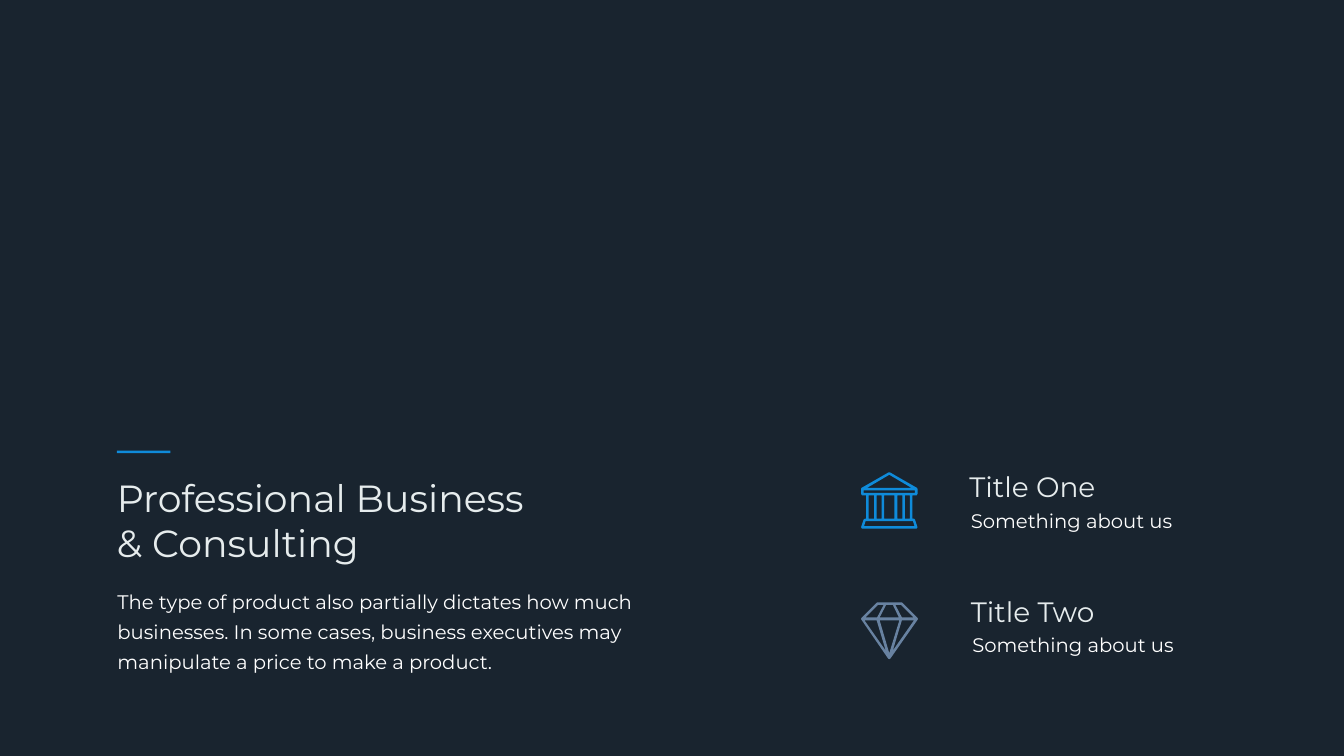
from pptx import Presentation
from pptx.dml.color import RGBColor
from pptx.enum.shapes import MSO_SHAPE
from pptx.enum.text import MSO_AUTO_SIZE
from pptx.util import Pt

PX = 9144  # EMU per px, 100 px to the inch
BLUE, SLATE, PALE, WHITE = "0F8BDA", "6882A1", "E6ECED", "FFFFFF"
rgb = RGBColor.from_string

prs = Presentation()
prs.slide_width, prs.slide_height = 2666 * PX, 1500 * PX
s = prs.slides.add_slide(prs.slide_layouts[6])
s.background.fill.solid()
s.background.fill.fore_color.rgb = rgb("19242F")


def add_text(text, left, top, width, height, size, color, spacing=None, inset=(10, 5)):
    tf = s.shapes.add_textbox(left * PX, top * PX, width * PX, height * PX).text_frame
    tf.word_wrap = True
    tf.auto_size = MSO_AUTO_SIZE.SHAPE_TO_FIT_TEXT
    tf.margin_left = tf.margin_right = inset[0] * PX
    tf.margin_top = tf.margin_bottom = inset[1] * PX
    p = tf.paragraphs[0]
    p.text = text
    p.font.name, p.font.size = "Montserrat", Pt(size)
    p.font.color.rgb = rgb(color)
    if spacing:
        p.line_spacing = Pt(spacing)


def paint(sp, color):
    """Give a shape a flat fill without line or shadow."""
    sp.shadow.inherit = False
    sp.fill.solid()
    sp.fill.fore_color.rgb = rgb(color)
    sp.line.fill.background()


# Heading, body and accent rule
add_text("Professional Business & Consulting", 222, 937, 885, 192, 54, PALE)
add_text("The type of product also partially dictates how much businesses. "
         "In some cases, business executives may manipulate a price to make a product.",
         209, 1146, 1089, 200, 28, WHITE, spacing=43, inset=(24, 12))
paint(s.shapes.add_shape(MSO_SHAPE.RECTANGLE, 232 * PX, 894 * PX, 106 * PX, 5 * PX), BLUE)

# Titles with captions
for title, left, top in (("Title One", 1913, 937), ("Title Two", 1916, 1184)):
    add_text(title, left, top, 405, 68, 40, PALE, spacing=40.8)
    add_text("Something about us", left + 3, top + 67, 423, 57, 28, WHITE)

# Icons: an outer contour first, then the holes cut into it
bank = [
    [(110, 46), (112, 43), (112, 33), (111, 31), (57, 0), (55, 0), (1, 31), (0, 33),
     (0, 43), (2, 46), (10, 46), (10, 92), (8, 92), (5, 94), (0, 109), (2, 112),
     (110, 112), (112, 109), (107, 94), (105, 92), (102, 92), (102, 46)],
    [(56, 5), (100, 31), (12, 31)],
    [(5, 36), (107, 36), (107, 41), (5, 41)],
    [(103, 97), (106, 107), (6, 107), (9, 97)],
]
for x1, x2 in ((15, 26), (31, 41), (46, 66), (72, 82), (87, 97)):
    bank.append([(x1, 46), (x2, 46), (x2, 92), (x1, 92)])

diamond = [
    [(113, 33), (112, 31), (82, 1), (80, 0), (33, 0), (31, 1), (1, 31), (0, 33),
     (1, 35), (54, 112), (56, 113), (58, 112), (112, 35)],
    [(63, 96), (81, 36), (105, 36)],
    [(56, 101), (37, 36), (76, 36)],
    [(7, 36), (31, 36), (49, 96)],
    [(34, 5), (45, 5), (32, 30), (9, 30)],
    [(63, 5), (75, 30), (37, 30), (50, 5)],
    [(79, 5), (104, 30), (81, 30), (68, 5)],
]

for contours, top, color in ((bank, 937, BLUE), (diamond, 1195, SLATE)):
    outline, *holes = contours
    builder = s.shapes.build_freeform(*outline[0], scale=PX)
    builder.add_line_segments(outline[1:], close=True)
    for hole in holes:
        builder.move_to(*hole[0])
        builder.add_line_segments(hole[1:], close=True)
    paint(builder.convert_to_shape(1708 * PX, top * PX), color)

prs.save("out.pptx")
